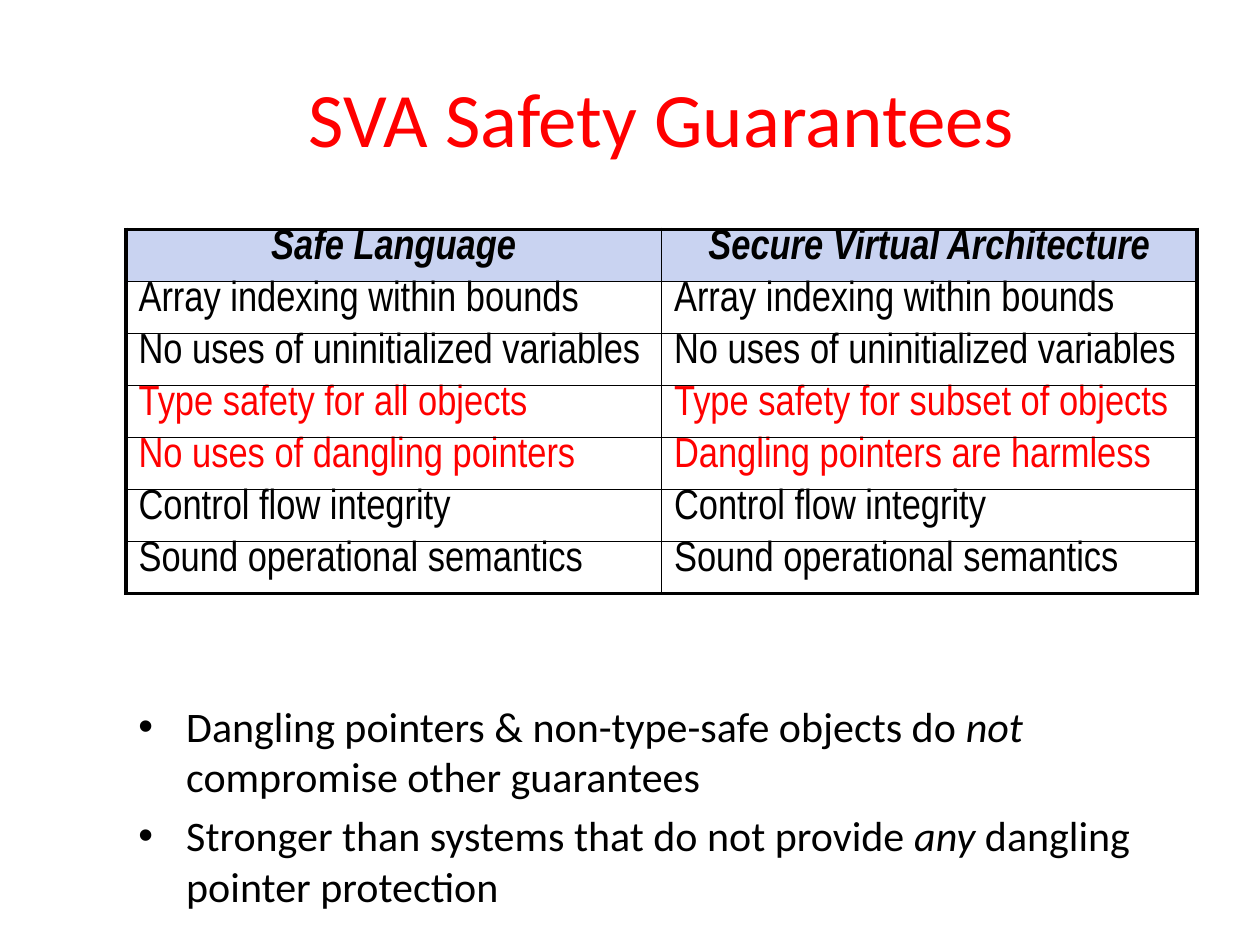
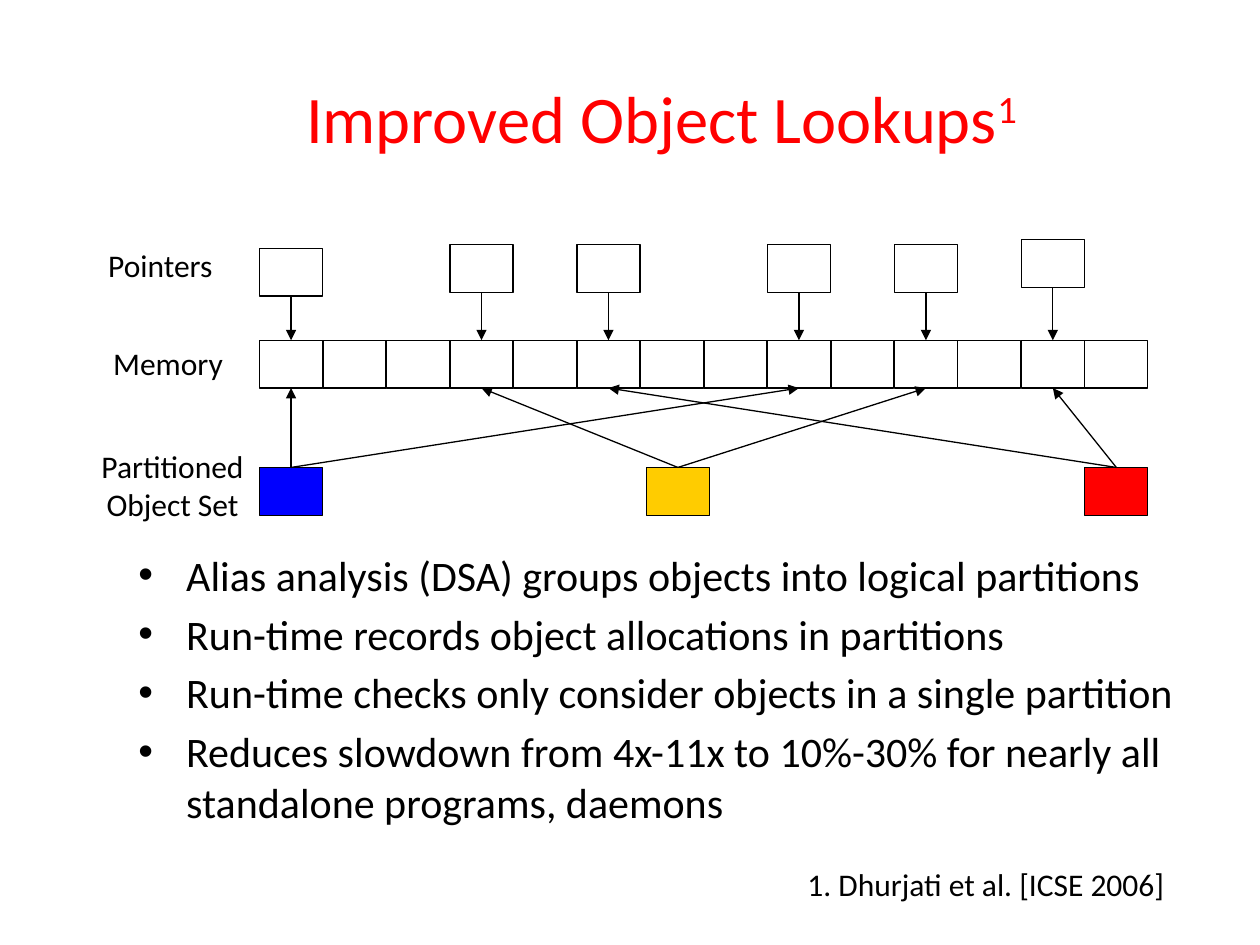
from dataclasses import dataclass

from lxml.etree import SubElement
from pptx import Presentation
from pptx.dml.color import RGBColor
from pptx.enum.shapes import MSO_CONNECTOR as Connector, MSO_SHAPE as Shape
from pptx.enum.text import MSO_ANCHOR as Anchor, MSO_AUTO_SIZE as AutoSize, PP_ALIGN as Align
from pptx.oxml.ns import qn
from pptx.util import Inches, Pt


@dataclass(frozen=True)
class Theme:
    body_font: str = "Calibri"
    table_font: str = "Arial Narrow"
    black: RGBColor = RGBColor(0, 0, 0)
    red: RGBColor = RGBColor(0xFF, 0, 0)
    blue: RGBColor = RGBColor(0, 0, 0xFF)
    gold: RGBColor = RGBColor(0xFF, 0xCC, 0)
    header: RGBColor = RGBColor(0x94, 0xA9, 0xE4)
    title_size: int = 44
    long_title_size: int = 38
    body_size: int = 24
    label_size: int = 18
    thin: float = 0.75
    inner_border: float = 1
    outer_border: float = 2.25


THEME = Theme()

GUARANTEES = [
    ("Safe Language", "Secure Virtual Architecture"),
    ("Array indexing within bounds", "Array indexing within bounds"),
    ("No uses of uninitialized variables", "No uses of uninitialized variables"),
    ("Type safety for all objects", "Type safety for subset of objects"),
    ("No uses of dangling pointers", "Dangling pointers are harmless"),
    ("Control flow integrity", "Control flow integrity"),
    ("Sound operational semantics", "Sound operational semantics"),
]
WEAKENED_ROWS = (3, 4)
ITALIC = {"italic": True}

CELL_WIDTH, CELL_HEIGHT = 0.5, 0.38
MEMORY_LEFT, MEMORY_TOP, MEMORY_CELLS = 2.06, 2.7, 14
MEMORY_PITCH = 6.55 / (MEMORY_CELLS - 1)
PARTITION_TOP = 3.71
POINTER_TOPS = {0: 1.97, 3: 1.94, 5: 1.94, 8: 1.94, 10: 1.94, 12: 1.9}
# Left edge, colour and the memory cells that each partition owns
PARTITIONS = [
    (2.06, THEME.blue, (0, 8)),
    (5.13, THEME.gold, (3, 10)),
    (8.61, THEME.red, (12, 5)),
]


def inches(*lengths):
    return [Inches(length) for length in lengths]


def format_font(font, size, color=THEME.black, name=THEME.body_font, **extra):
    font.color.rgb = color
    for key, value in {"size": Pt(size), "name": name, **extra}.items():
        setattr(font, key, value)


def add_spans(para, spans, size, **style):
    """Fill a paragraph from strings or (string, format dict) pairs."""
    for item in spans:
        text, extra = (item, {}) if isinstance(item, str) else item
        span = para.add_run()
        span.text = text
        format_font(span.font, size, **{**style, **extra})


def add_titled_slide(deck, title, size, superscript=None):
    page = deck.slides.add_slide(deck.slide_layouts[5])
    box = page.shapes.title
    box.left, box.top, box.width, box.height = inches(1, 0.3, 8.5, 1.25)
    frame = box.text_frame
    frame.auto_size = AutoSize.NONE
    frame.vertical_anchor = Anchor.MIDDLE
    para = frame.paragraphs[0]
    para.alignment = Align.CENTER
    add_spans(para, [title], size, color=THEME.red)
    if superscript:
        add_spans(para, [superscript], size, color=THEME.red)
        para.runs[-1]._r.get_or_add_rPr().set("baseline", "30000")
    return page


def add_bullets(page, place, items):
    frame = page.shapes.add_textbox(*inches(*place)).text_frame
    frame.word_wrap = True
    for index, spans in enumerate(items):
        para = frame.paragraphs[0] if index == 0 else frame.add_paragraph()
        properties = para._p.get_or_add_pPr()
        properties.set("marL", str(Inches(0.38)))
        properties.set("indent", str(-Inches(0.38)))
        SubElement(properties, qn("a:buFont"), typeface="Arial")
        SubElement(properties, qn("a:buChar"), char="•")
        if index:
            para.space_before = Pt(0.2 * THEME.body_size)
        add_spans(para, spans, THEME.body_size)


def add_label(page, place, *lines, align=Align.LEFT):
    frame = page.shapes.add_textbox(*inches(*place)).text_frame
    frame.word_wrap = False
    frame.auto_size = AutoSize.SHAPE_TO_FIT_TEXT
    for index, line in enumerate(lines):
        para = frame.paragraphs[0] if index == 0 else frame.add_paragraph()
        para.alignment = align
        add_spans(para, [line], THEME.label_size)


def set_borders(cell, widths):
    properties = cell._tc.get_or_add_tcPr()
    for side in ("L", "R", "T", "B"):
        border = SubElement(properties, qn(f"a:ln{side}"), w=str(Pt(widths[side])))
        fill = SubElement(border, qn("a:solidFill"))
        SubElement(fill, qn("a:srgbClr"), val=str(THEME.black))


def fill_header(cell):
    cell.fill.solid()
    cell.fill.fore_color.rgb = THEME.header
    color = cell._tc.tcPr.find(qn("a:solidFill"))[0]
    SubElement(color, qn("a:alpha"), val="50000")


def add_guarantee_table(page):
    rows, columns = len(GUARANTEES), len(GUARANTEES[0])
    table = page.shapes.add_table(rows, columns, *inches(1, 1.82, 8.5, 2.89)).table
    table.first_row = table.horz_banding = False
    for row, texts in enumerate(GUARANTEES):
        for column, text in enumerate(texts):
            cell = table.cell(row, column)
            cell.margin_top = cell.margin_bottom = 0
            outer = {"L": column == 0, "R": column == columns - 1,
                     "T": row == 0, "B": row == rows - 1}
            set_borders(cell, {side: THEME.outer_border if edge else THEME.inner_border
                               for side, edge in outer.items()})
            is_header = row == 0
            if is_header:
                fill_header(cell)
            else:
                cell.fill.background()
            para = cell.text_frame.paragraphs[0]
            para.alignment = Align.CENTER if is_header else Align.LEFT
            add_spans(para, [text], THEME.body_size, name=THEME.table_font,
                      color=THEME.red if row in WEAKENED_ROWS else THEME.black,
                      bold=is_header, italic=is_header)


def add_cell(page, left, top, color=None):
    cell = page.shapes.add_shape(Shape.RECTANGLE, *inches(left, top, CELL_WIDTH, CELL_HEIGHT))
    cell.shadow.inherit = False
    cell.line.color.rgb = THEME.black
    cell.line.width = Pt(THEME.thin)
    if color is None:
        cell.fill.background()
    else:
        cell.fill.solid()
        cell.fill.fore_color.rgb = color


def add_arrow(page, start, end):
    arrow = page.shapes.add_connector(Connector.STRAIGHT, *inches(*start, *end))
    arrow.line.color.rgb = THEME.black
    arrow.line.width = Pt(THEME.thin)
    SubElement(arrow.line._get_or_add_ln(), qn("a:tailEnd"), type="triangle")
    SubElement(arrow._element.spPr, qn("a:effectLst"))


def memory_left(index):
    return MEMORY_LEFT + index * MEMORY_PITCH


def memory_center(index):
    return memory_left(index) + CELL_WIDTH / 2


def add_memory_diagram(page):
    for index in range(MEMORY_CELLS):
        add_cell(page, memory_left(index), MEMORY_TOP)
    for index, top in POINTER_TOPS.items():
        add_cell(page, memory_left(index), top)
        center = memory_center(index)
        add_arrow(page, (center, top + CELL_HEIGHT), (center, MEMORY_TOP))
    for left, color, targets in PARTITIONS:
        add_cell(page, left, PARTITION_TOP, color)
        for index in targets:
            add_arrow(page, (left + CELL_WIDTH / 2, PARTITION_TOP),
                      (memory_center(index), MEMORY_TOP + CELL_HEIGHT))
    add_label(page, (0.76, 1.9, 1.12, 0.4), "Pointers")
    add_label(page, (0.8, 2.68, 1.1, 0.4), "Memory")
    add_label(page, (0.67, 3.5, 1.4, 0.7), "Partitioned", "Object Set", align=Align.CENTER)


def add_guarantees_slide(deck):
    page = add_titled_slide(deck, "SVA Safety Guarantees", THEME.title_size)
    add_guarantee_table(page)
    add_bullets(page, (1, 5.51, 8.7, 1.81), [
        ["Dangling pointers & non-type-safe objects do ", ("not", ITALIC),
         " compromise other guarantees"],
        ["Stronger than systems that do not provide ", ("any", ITALIC),
         " dangling pointer protection"],
    ])


def add_lookups_slide(deck):
    page = add_titled_slide(deck, "Improved Object Lookups", THEME.long_title_size, "1")
    add_bullets(page, (1, 4.31, 8.5, 2.39), [
        ["Alias analysis (DSA) groups objects into logical partitions"],
        ["Run-time records object allocations in partitions"],
        ["Run-time checks only consider objects in a single partition"],
        ["Reduces slowdown from 4x-11x to 10%-30% for nearly all standalone programs, daemons"],
    ])
    add_memory_diagram(page)
    add_label(page, (6.31, 6.82, 3.44, 0.4), "1. Dhurjati et al. [ICSE 2006]")


def main():
    deck = Presentation()
    deck.slide_width, deck.slide_height = inches(10, 7.5)
    add_guarantees_slide(deck)
    add_lookups_slide(deck)
    deck.save("out.pptx")


if __name__ == "__main__":
    main()
